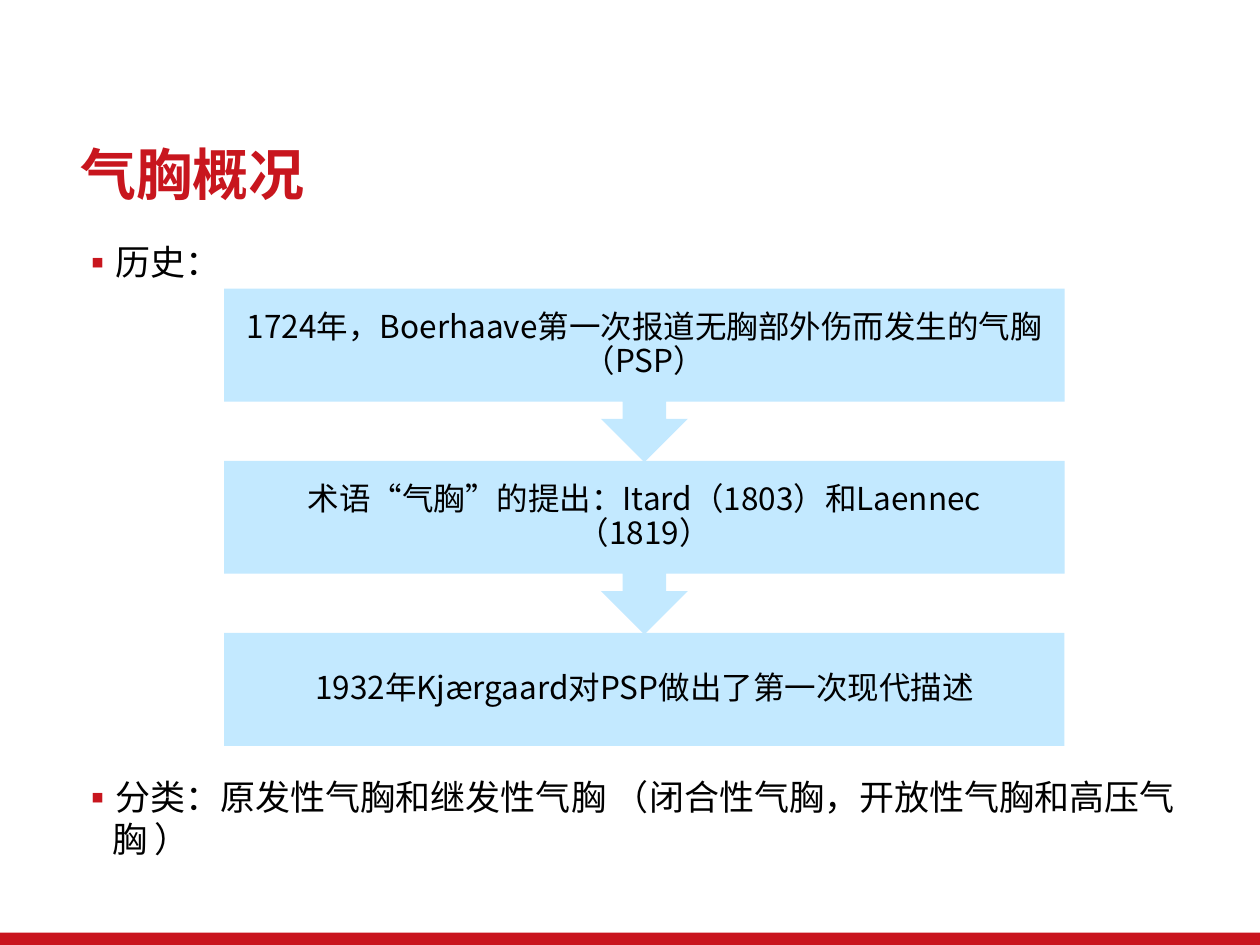
from lxml.etree import SubElement
from pptx import Presentation
from pptx.dml.color import RGBColor
from pptx.enum.shapes import MSO_SHAPE
from pptx.enum.text import MSO_ANCHOR, PP_ALIGN
from pptx.oxml.ns import qn
from pptx.util import Cm, Pt

TITLE = "气胸概况"
POINTS = ["历史：", "分类：原发性气胸和继发性气胸 （闭合性气胸，开放性气胸和高压气胸 ）"]
STEPS = [
    "1724年，Boerhaave第一次报道无胸部外伤而发生的气胸（PSP）",
    "术语“气胸”的提出：Itard（1803）和Laennec（1819）",
    "1932年Kjærgaard对PSP做出了第一次现代描述",
]
HUES = {"red": "C8161E", "bar": "C9151E", "blue": "C3E9FF", "ink": "000000"}
FONT = "Noto Sans CJK SC"
LEFT, TOP, WIDE, HIGH = 4.52, 5.82, 16.94, 2.28
PITCH, CALL = 3.47, 3.5


def hue(name):
    return RGBColor.from_string(HUES[name])


def place(*box):
    return [Cm(n) for n in box]


def write(frame, texts, size=18, color="ink", bold=False, align=PP_ALIGN.LEFT,
          anchor=MSO_ANCHOR.TOP, pads=(0.25, 0.13), line=1.0, gap=0, bullet=None):
    frame.word_wrap = True
    frame.vertical_anchor = anchor
    frame.margin_left = frame.margin_right = Cm(pads[0])
    frame.margin_top = frame.margin_bottom = Cm(pads[1])
    for i, text in enumerate(texts):
        para = frame.add_paragraph() if i else frame.paragraphs[0]
        if bullet:
            props = para._p.get_or_add_pPr()
            props.set("marL", str(Cm(0.64)))
            props.set("indent", str(-Cm(0.64)))
            tint = SubElement(props, qn("a:buClr"))
            SubElement(tint, qn("a:srgbClr")).set("val", HUES["red"])
            SubElement(props, qn("a:buFont")).set("typeface", FONT)
            SubElement(props, qn("a:buChar")).set("char", bullet)
        para.alignment = align
        para.line_spacing = line
        para.space_before = Pt(gap if i else 0)
        run = para.add_run()
        run.text = text
        run.font.size = Pt(size)
        run.font.bold = bold
        run.font.name = FONT
        run.font.color.rgb = hue(color)
        SubElement(run.font._element, qn("a:ea")).set("typeface", FONT)


def block(slide, kind, box, color):
    shape = slide.shapes.add_shape(kind, *place(*box))
    shape.shadow.inherit = False
    shape.fill.solid()
    shape.fill.fore_color.rgb = hue(color)
    shape.line.fill.background()
    return shape


def main():
    deck = Presentation()
    deck.slide_width, deck.slide_height = place(25.4, 19.05)
    slide = deck.slides.add_slide(deck.slide_layouts[5])
    block(slide, MSO_SHAPE.RECTANGLE, (0, 18.8, 25.4, 0.25), "bar")

    title = slide.shapes.title
    title.left, title.top, title.width, title.height = place(1.37, 2.72, 23.27, 1.6)
    write(title.text_frame, [TITLE], size=32, color="red", bold=True,
          anchor=MSO_ANCHOR.BOTTOM, line=0.9)

    body = slide.shapes.add_textbox(*place(1.37, 4.67, 23.27, 13.67))
    write(body.text_frame, POINTS, size=20, pads=(0.25, 0.17), gap=282, bullet="▪")

    for i, text in reversed(list(enumerate(STEPS))):
        top = TOP + i * PITCH
        if i < len(STEPS) - 1:
            call = block(slide, MSO_SHAPE.UP_ARROW_CALLOUT, (LEFT, top, WIDE, CALL), "blue")
            call.rotation = 180
        else:
            block(slide, MSO_SHAPE.RECTANGLE, (LEFT, top, WIDE, HIGH), "blue")
        label = slide.shapes.add_textbox(*place(LEFT, top, WIDE, HIGH))
        write(label.text_frame, [text], align=PP_ALIGN.CENTER,
              anchor=MSO_ANCHOR.MIDDLE, pads=(0.36, 0.36), line=0.9)

    deck.save("out.pptx")


if __name__ == "__main__":
    main()
